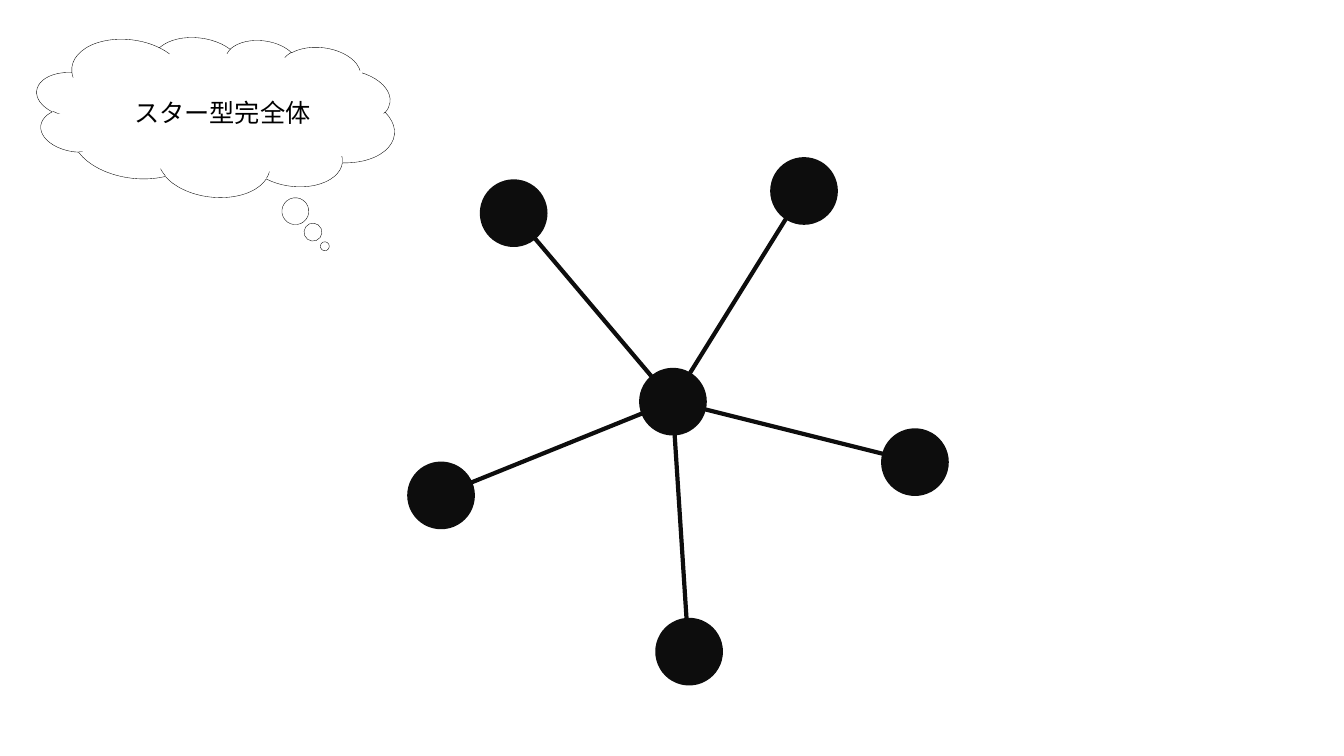
from lxml import etree
from pptx import Presentation
from pptx.dml.color import RGBColor
from pptx.enum.shapes import MSO_CONNECTOR, MSO_SHAPE
from pptx.enum.text import MSO_ANCHOR, PP_ALIGN
from pptx.oxml.ns import qn
from pptx.util import Pt

PX = 9144
COLORS = {"node": "0D0D0D", "paper": "FFFFFF", "ink": "000000"}
FONT = "Noto Sans CJK JP"
ELLIPSE, RECTANGLE = MSO_SHAPE.OVAL, MSO_SHAPE.RECTANGLE
CLOUD = MSO_SHAPE.CLOUD_CALLOUT
STRAIGHT = MSO_CONNECTOR.STRAIGHT
CENTER, MIDDLE = PP_ALIGN.CENTER, MSO_ANCHOR.MIDDLE

NODE_SIZE = 63
HUB = (261, 241)
SPOKES = [(103, 54), (501, 301), (277, 489), (31, 334), (391, 32)]
PATCHES = [(276, 97, 36, 15, 62.5), (21, 78, 21, 12, 0), (325, 75, 21, 12, 337.6)]


def color(name):
    """Return the named colour."""
    return RGBColor.from_string(COLORS[name])


def add_filled(shapes, kind, box, fill, line=None, width=0, rotation=0):
    """Add a preset shape with a flat fill and an optional outline."""
    shape = shapes.add_shape(kind, *(length * PX for length in box))
    shape.shadow.inherit = False
    shape.rotation = rotation
    shape.fill.solid()
    shape.fill.fore_color.rgb = color(fill)
    if line:
        shape.line.color.rgb = color(line)
        shape.line.width = Pt(width)
    else:
        shape.line.fill.background()
    return shape


def add_star(page, left, top):
    """Draw the hub, its spokes and the outer nodes."""
    shapes = page.shapes.add_group_shape().shapes
    hub_x, hub_y = left + HUB[0], top + HUB[1]
    for x, y in SPOKES:
        ends = (hub_x, hub_y, left + x, top + y)
        spoke = shapes.add_connector(STRAIGHT, *(length * PX for length in ends))
        spoke.line.color.rgb = color("node")
        spoke.line.width = Pt(3)
        etree.SubElement(spoke._element.spPr, qn("a:effectLst"))
    for x, y in [HUB, *SPOKES]:
        box = (left + x - NODE_SIZE // 2, top + y - NODE_SIZE // 2, NODE_SIZE, NODE_SIZE)
        add_filled(shapes, ELLIPSE, box, "node", "node", 3)


def add_thought(page, left, top, width, height, text):
    """Draw the thought cloud, the patches over its inner arcs and its text."""
    shapes = page.shapes.add_group_shape().shapes
    cloud = add_filled(shapes, CLOUD, (left, top, width, height), "paper", "ink", 0.25, 6.6)
    cloud.adjustments[0] = 0.344
    cloud.adjustments[1] = 0.725
    for x, y, patch_width, patch_height, rotation in PATCHES:
        box = (left + x, top + y, patch_width, patch_height)
        add_filled(shapes, RECTANGLE, box, "paper", rotation=rotation)
    label = add_filled(shapes, RECTANGLE, (left + 47, top + 35, 277, 84), "paper")
    label.text_frame.word_wrap = True
    label.text_frame.vertical_anchor = MIDDLE
    para = label.text_frame.paragraphs[0]
    para.text = text
    para.alignment = CENTER
    para.font.size = Pt(18)
    para.font.color.rgb = color("ink")
    para.font.name = FONT
    etree.SubElement(para.font._rPr, qn("a:ea"), typeface=FONT)


def main():
    """Build the deck and save it."""
    deck = Presentation()
    deck.slide_width, deck.slide_height = 1333 * PX, 750 * PX
    page = deck.slides.add_slide(deck.slide_layouts[6])
    add_star(page, 406, 157)
    add_thought(page, 35, 35, 357, 160, "スター型完全体")
    deck.save("out.pptx")


if __name__ == "__main__":
    main()
